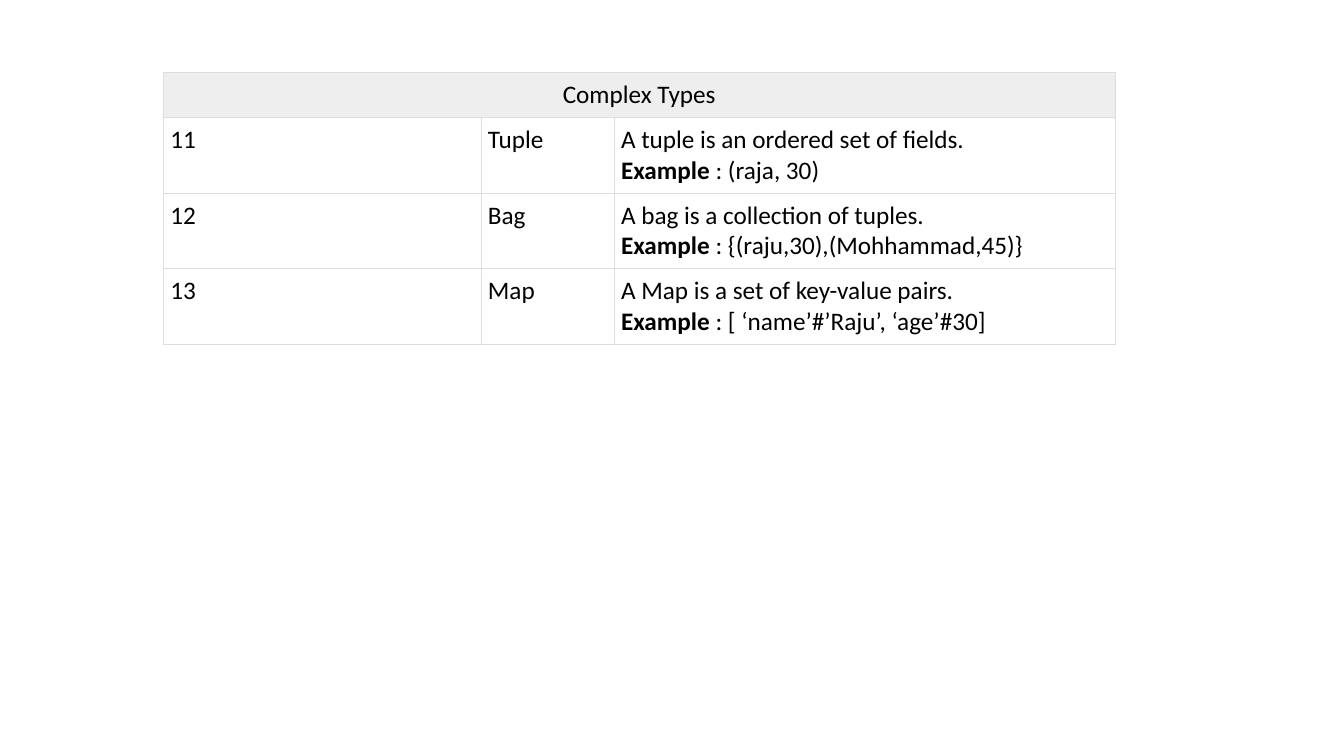
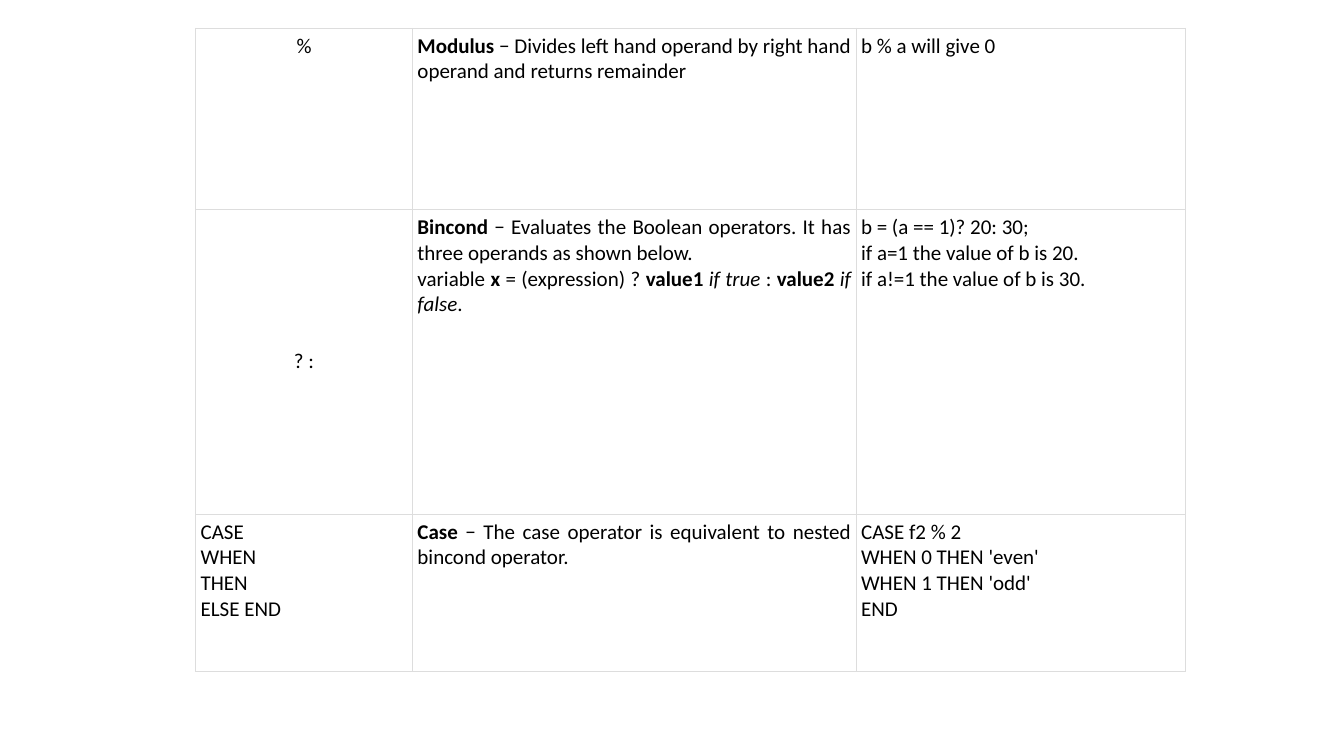
from dataclasses import dataclass

from lxml import etree
from pptx import Presentation
from pptx.dml.color import RGBColor
from pptx.enum import text
from pptx.oxml import ns
from pptx.util import Inches, Pt

LEFT, CENTER, JUSTIFY = text.PP_ALIGN.LEFT, text.PP_ALIGN.CENTER, text.PP_ALIGN.JUSTIFY
TOP, MIDDLE = text.MSO_ANCHOR.TOP, text.MSO_ANCHOR.MIDDLE


@dataclass(frozen=True)
class Theme:
    font: str = "Calibri"
    ink: str = "000000"
    paper: str = "FFFFFF"
    header: str = "EEEEEE"
    border: str = "DDDDDD"
    border_width: float = 0.6
    large: int = 18
    small: int = 15


@dataclass
class Cell:
    paragraphs: list
    align: int
    anchor: int = TOP


def bold(words):
    return words, "b"


def italic(words):
    return words, "i"


class Deck:
    def __init__(self, theme):
        self.theme = theme
        self.prs = Presentation()
        self.prs.slide_width = Inches(13.33)
        self.prs.slide_height = Inches(7.5)
        self.s = None

    def slide(self):
        self.s = self.prs.slides.add_slide(self.prs.slide_layouts[6])

    def table(self, left, top, widths, heights, rows, size, margin):
        frame = self.s.shapes.add_table(
            len(heights), len(widths), Inches(left), Inches(top),
            Inches(sum(widths)), Inches(sum(heights)))
        table = frame.table
        table.first_row = table.horz_banding = False
        for column, width in zip(table.columns, widths):
            column.width = Inches(width)
        for row, height in zip(table.rows, heights):
            row.height = Inches(height)
        for r, row in enumerate(rows):
            heading = len(row) == 1
            for c in range(len(widths)):
                cell = table.cell(r, c)
                self.frame_cell(cell, self.theme.header if heading else self.theme.paper, margin)
                if c < len(row):
                    self.fill_cell(cell, row[c], size)
            if heading:
                table.cell(r, 0).merge(table.cell(r, len(widths) - 1))

    def frame_cell(self, cell, fill, margin):
        cell.margin_left = cell.margin_right = Inches(margin)
        cell.margin_top = cell.margin_bottom = Inches(margin)
        props = cell._tc.get_or_add_tcPr()
        for side in "LRTB":
            line = etree.SubElement(props, ns.qn(f"a:ln{side}"), w=str(Pt(self.theme.border_width)))
            solid = etree.SubElement(line, ns.qn("a:solidFill"))
            etree.SubElement(solid, ns.qn("a:srgbClr"), val=self.theme.border)
        cell.fill.solid()
        cell.fill.fore_color.rgb = RGBColor.from_string(fill)

    def fill_cell(self, cell, content, size):
        cell.vertical_anchor = content.anchor
        tf = cell.text_frame
        for n, runs in enumerate(content.paragraphs):
            p = tf.add_paragraph() if n else tf.paragraphs[0]
            p.alignment = content.align
            for run in [runs] if isinstance(runs, str) else runs:
                words, style = (run, "") if isinstance(run, str) else run
                self.run(p, words, style, size)

    def run(self, p, words, style, size):
        r = p.add_run()
        r.text = words
        r.font.name = self.theme.font
        r.font.size = Pt(size)
        r.font.color.rgb = RGBColor.from_string(self.theme.ink)
        r.font.bold = style == "b"
        r.font.italic = style == "i"


def complex_types(deck):
    types = [
        ("11", "Tuple", "A tuple is an ordered set of fields.", "(raja, 30)"),
        ("12", "Bag", "A bag is a collection of tuples.", "{(raju,30),(Mohhammad,45)}"),
        ("13", "Map", "A Map is a set of key-value pairs.", "[ ‘name’#’Raju’, ‘age’#30]"),
    ]
    rows = [[Cell(["Complex Types"], CENTER)]]
    for number, name, meaning, example in types:
        rows.append([
            Cell([number], LEFT),
            Cell([name], LEFT),
            Cell([meaning, [bold("Example"), f" : {example}"]], JUSTIFY),
        ])
    deck.slide()
    deck.table(1.62, 0.72, [3.15, 1.32, 4.97], [0.44] + [0.74] * 3, rows,
               deck.theme.large, 0.07)


def operators(deck):
    rows = [
        [
            Cell(["%"], CENTER),
            Cell([[bold("Modulus"), " − Divides left hand operand by right hand operand"
                   " and returns remainder"]], JUSTIFY),
            Cell(["b % a will give 0"], LEFT),
        ],
        [
            Cell(["? :"], CENTER, MIDDLE),
            Cell([
                [bold("Bincond"), " − Evaluates the Boolean operators."
                 " It has three operands as shown below."],
                ["variable ", bold("x"), " = (expression) ? ", bold("value1 "),
                 italic("if true"), " : ", bold("value2 "), italic("if false"), "."],
            ], JUSTIFY),
            Cell(["b = (a == 1)? 20: 30;", "if a=1 the value of b is 20.",
                  "if a!=1 the value of b is 30."], JUSTIFY),
        ],
        [
            Cell(["CASE", "WHEN", "THEN", "ELSE END"], JUSTIFY),
            Cell([[bold("Case"), " − The case operator is equivalent to nested"
                   " bincond operator."]], JUSTIFY),
            Cell(["CASE f2 % 2", "WHEN 0 THEN 'even'", "WHEN 1 THEN 'odd'", "END"], JUSTIFY),
        ],
    ]
    deck.slide()
    deck.table(1.94, 0.28, [2.15, 4.4, 3.27], [1.8, 3.02, 1.56], rows,
               deck.theme.small, 0.05)


def main():
    deck = Deck(Theme())
    complex_types(deck)
    operators(deck)
    deck.prs.save("out.pptx")


if __name__ == "__main__":
    main()
